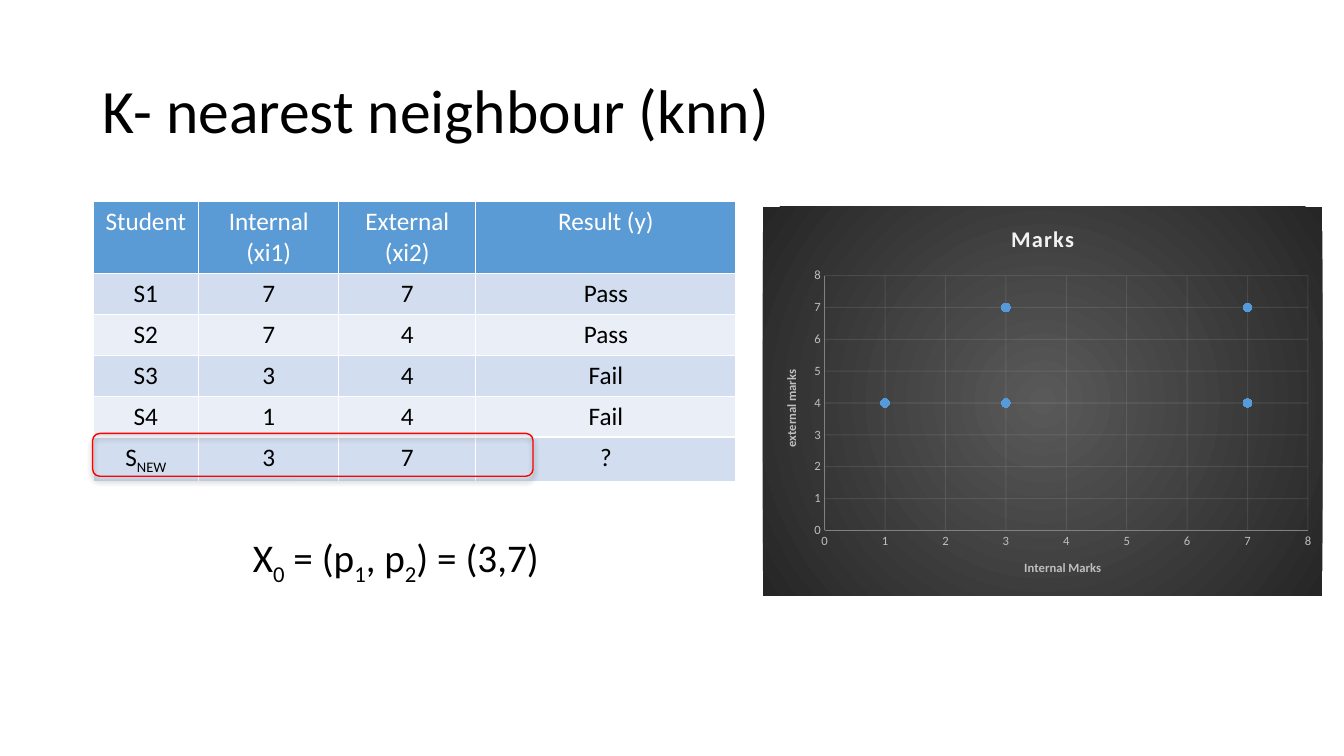
"""Build a slide on k-nearest neighbours with a marks table and a scatter chart."""
from dataclasses import dataclass
from typing import Any

from pptx import Presentation
from pptx.chart.data import XyChartData
from pptx.dml.color import RGBColor
from pptx.enum.chart import XL_CHART_TYPE, XL_MARKER_STYLE, XL_TICK_MARK
from pptx.enum.shapes import MSO_SHAPE
from pptx.enum.text import MSO_ANCHOR, MSO_AUTO_SIZE, PP_ALIGN
from pptx.oxml import parse_xml
from pptx.oxml.ns import nsdecls
from pptx.util import Pt

SCATTER = XL_CHART_TYPE.XY_SCATTER
CIRCLE = XL_MARKER_STYLE.CIRCLE
NO_TICK = XL_TICK_MARK.NONE
ROUNDED = MSO_SHAPE.ROUNDED_RECTANGLE
MIDDLE = MSO_ANCHOR.MIDDLE
FIT_SHAPE = MSO_AUTO_SIZE.SHAPE_TO_FIT_TEXT
LEFT, CENTER = PP_ALIGN.LEFT, PP_ALIGN.CENTER


@dataclass(frozen=True)
class Theme:
    font: str = "Calibri"
    ink: str = "000000"
    paper: str = "FFFFFF"
    header: str = "5B9BD5"
    bands: tuple[str, str] = ("D2DEEF", "EAEFF7")
    highlight: str = "FF0000"
    chart_centre: str = "595959"
    chart_edge: str = "262626"
    chart_title: str = "F2F2F2"
    axis_text: str = "BFBFBF"
    axis_line: str = "808080"
    marker: str = "559BDB"
    title_size: float = 44
    equation_size: float = 28
    table_size: float = 18
    chart_title_size: float = 16
    axis_size: float = 9


@dataclass(frozen=True)
class Box:
    left: float
    top: float
    width: float
    height: float

    def lengths(self) -> tuple[Pt, Pt, Pt, Pt]:
        return Pt(self.left), Pt(self.top), Pt(self.width), Pt(self.height)


@dataclass(frozen=True)
class Piece:
    text: str
    subscript: bool = False


@dataclass(frozen=True)
class Student:
    label: tuple[Piece, ...]
    internal: int
    external: int
    result: str

    def cells(self) -> list[tuple[Piece, ...]]:
        marks = (str(self.internal), str(self.external), self.result)
        return [self.label, *((Piece(mark),) for mark in marks)]


THEME = Theme()
HEADINGS = ("Student", "Internal (xi1)", "External (xi2)", "Result (y)")
COLUMN_WIDTHS = (75.6, 100, 98, 185.8)
ROW_HEIGHT = 29.2
STUDENTS = (
    Student((Piece("S1"),), 7, 7, "Pass"),
    Student((Piece("S2"),), 7, 4, "Pass"),
    Student((Piece("S3"),), 3, 4, "Fail"),
    Student((Piece("S4"),), 1, 4, "Fail"),
    Student((Piece("S"), Piece("NEW", True)), 3, 7, "?"),
)
EQUATION = (
    Piece("X"), Piece("0", True), Piece(" = (p"), Piece("1", True),
    Piece(", p"), Piece("2", True), Piece(") = (3,7)"),
)
TITLE_BOX = Box(66, 28.8, 828, 104.4)
TABLE_BOX = Box(66.4, 144.2, sum(COLUMN_WIDTHS), ROW_HEIGHT * (len(STUDENTS) + 1))
EQUATION_BOX = Box(173.5, 377.3, 225.4, 41)
NEW_STUDENT_BOX = Box(66.2, 309.6, 314.6, 30.6)
CHART_BOX = Box(545, 147.6, 399.6, 278)
AXIS_FORMAT = {
    "minimum_scale": 0, "maximum_scale": 8, "major_unit": 1,
    "major_tick_mark": NO_TICK, "minor_tick_mark": NO_TICK,
    "has_major_gridlines": True, "has_title": True,
}


def apply(target: Any, values: dict[str, Any]) -> None:
    for name, value in values.items():
        setattr(target, name, value)


def style_font(font: Any, size: float, color: str, bold: bool = False) -> None:
    apply(font, {"name": THEME.font, "size": Pt(size), "bold": bold})
    font.color.rgb = RGBColor.from_string(color)


def style_line(line: Any, color: str, width: float) -> None:
    line.color.rgb = RGBColor.from_string(color)
    line.width = Pt(width)


def write(frame: Any, pieces: tuple[Piece, ...], size: float, color: str,
          align: Any = LEFT, bold: bool = False) -> None:
    paragraph = frame.paragraphs[0]
    paragraph.alignment = align
    for piece in pieces:
        run = paragraph.add_run()
        run.text = piece.text
        style_font(run.font, size, color, bold)
        if piece.subscript:
            run.font._element.set("baseline", "-25000")


def add_title(slide: Any) -> None:
    title = slide.shapes.title
    apply(title, dict(zip(("left", "top", "width", "height"), TITLE_BOX.lengths())))
    apply(title.text_frame, {"vertical_anchor": MIDDLE, "word_wrap": True})
    write(title.text_frame, (Piece("K- nearest neighbour (knn)"),), THEME.title_size, THEME.ink)
    title.text_frame.paragraphs[0].line_spacing = 0.9


def add_marks_table(slide: Any) -> None:
    rows = [[(Piece(heading),) for heading in HEADINGS]]
    rows += [student.cells() for student in STUDENTS]
    table = slide.shapes.add_table(len(rows), len(HEADINGS), *TABLE_BOX.lengths()).table
    for column, width in zip(table.columns, COLUMN_WIDTHS):
        column.width = Pt(width)
    for index, (row, contents) in enumerate(zip(table.rows, rows)):
        row.height = Pt(ROW_HEIGHT)
        fill = THEME.bands[(index - 1) % 2] if index else THEME.header
        color = THEME.ink if index else THEME.paper
        for cell, pieces in zip(row.cells, contents):
            cell.fill.solid()
            cell.fill.fore_color.rgb = RGBColor.from_string(fill)
            write(cell.text_frame, pieces, THEME.table_size, color, CENTER)


def add_equation(slide: Any) -> None:
    frame = slide.shapes.add_textbox(*EQUATION_BOX.lengths()).text_frame
    apply(frame, {"word_wrap": False, "auto_size": FIT_SHAPE})
    write(frame, EQUATION, THEME.equation_size, THEME.ink)


def add_new_student_outline(slide: Any) -> None:
    outline = slide.shapes.add_shape(ROUNDED, *NEW_STUDENT_BOX.lengths())
    outline.fill.background()
    style_line(outline.line, THEME.highlight, 1)
    outline._element.spPr.append(parse_xml(
        f'<a:effectLst {nsdecls("a")}><a:outerShdw blurRad="{Pt(4)}" dist="{Pt(3)}" '
        f'dir="5400000" rotWithShape="0"><a:srgbClr val="{THEME.ink}">'
        '<a:alpha val="40000"/></a:srgbClr></a:outerShdw></a:effectLst>'))


def style_axis(axis: Any, title: str) -> None:
    apply(axis, AXIS_FORMAT)
    write(axis.axis_title.text_frame, (Piece(title),), THEME.axis_size,
          THEME.axis_text, CENTER, True)
    style_font(axis.tick_labels.font, THEME.axis_size, THEME.axis_text)
    style_line(axis.format.line, THEME.axis_line, 0.75)
    style_line(axis.major_gridlines.format.line, THEME.chart_title, 0.75)
    for color in axis._element.xpath("c:majorGridlines//a:srgbClr"):
        color.append(parse_xml(f'<a:alpha {nsdecls("a")} val="10000"/>'))


def add_marks_chart(slide: Any) -> None:
    data = XyChartData()
    series = data.add_series("Series 1")
    for student in STUDENTS:
        series.add_data_point(student.internal, student.external)
    chart = slide.shapes.add_chart(SCATTER, *CHART_BOX.lengths(), data).chart
    apply(chart, {"has_legend": False, "has_title": True})
    style_font(chart.font, 10, THEME.ink)
    write(chart.chart_title.text_frame, (Piece("Marks"),), THEME.chart_title_size,
          THEME.chart_title, CENTER, True)
    chart.chart_title.text_frame.paragraphs[0].runs[0].font._element.set("spc", "100")
    chart.plots[0].vary_by_categories = False
    style_axis(chart.category_axis, "Internal Marks")
    style_axis(chart.value_axis, "external marks")
    marker = chart.plots[0].series[0].marker
    apply(marker, {"style": CIRCLE, "size": 6})
    for part in (marker.format.fill, marker.format.line.fill):
        part.solid()
        part.fore_color.rgb = RGBColor.from_string(THEME.marker)
    chart._chartSpace.xpath("c:txPr")[0].addprevious(parse_xml(
        f'<c:spPr {nsdecls("c", "a")}><a:gradFill><a:gsLst>'
        f'<a:gs pos="0"><a:srgbClr val="{THEME.chart_centre}"/></a:gs>'
        f'<a:gs pos="100000"><a:srgbClr val="{THEME.chart_edge}"/></a:gs></a:gsLst>'
        '<a:path path="circle"><a:fillToRect l="50000" t="50000" r="50000" b="50000"/>'
        '</a:path></a:gradFill><a:ln><a:noFill/></a:ln></c:spPr>'))


def main() -> None:
    deck = Presentation()
    apply(deck, {"slide_width": Pt(960), "slide_height": Pt(540)})
    slide = deck.slides.add_slide(deck.slide_layouts[5])
    for draw in (add_title, add_marks_table, add_equation,
                 add_new_student_outline, add_marks_chart):
        draw(slide)
    deck.save("out.pptx")


if __name__ == "__main__":
    main()
